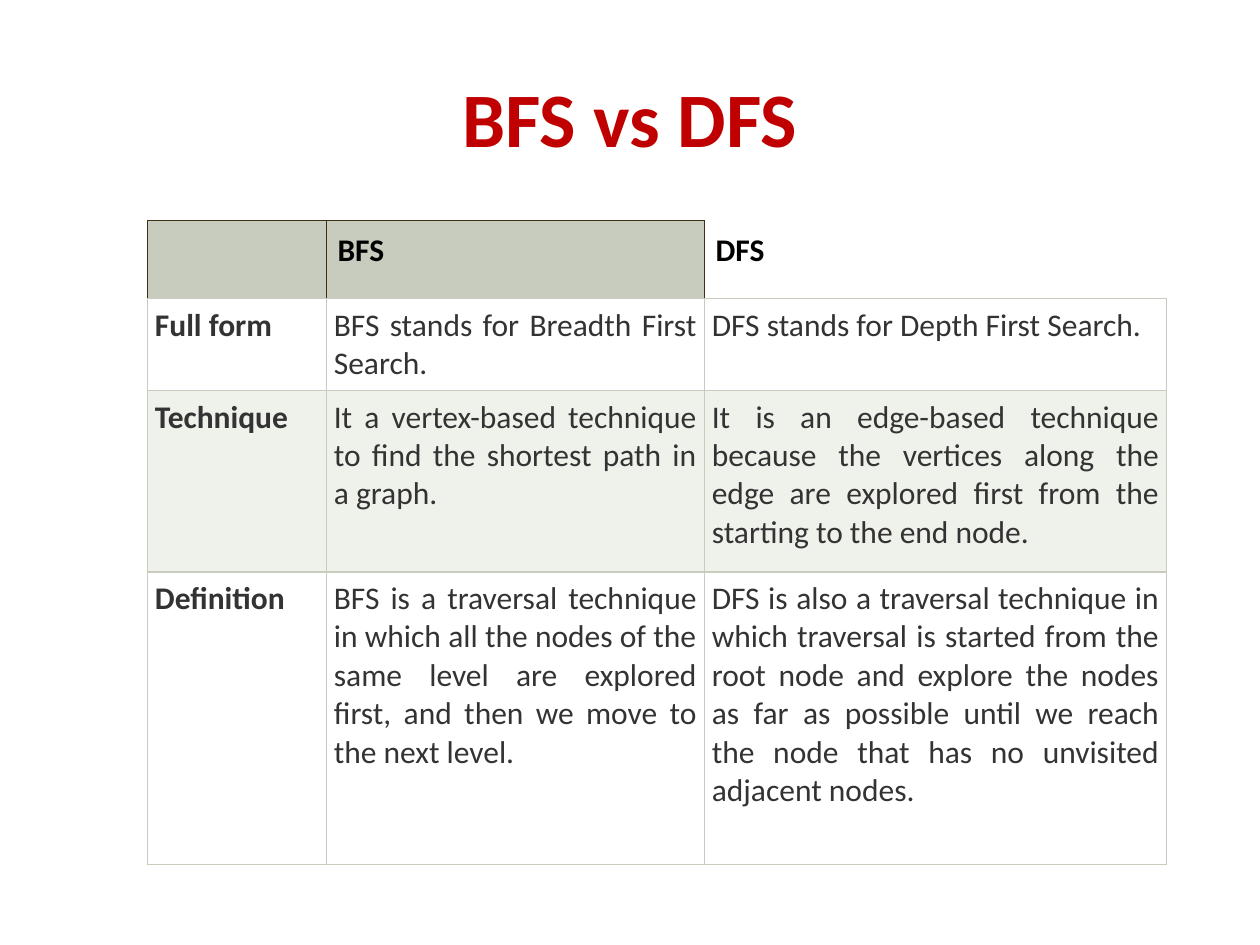
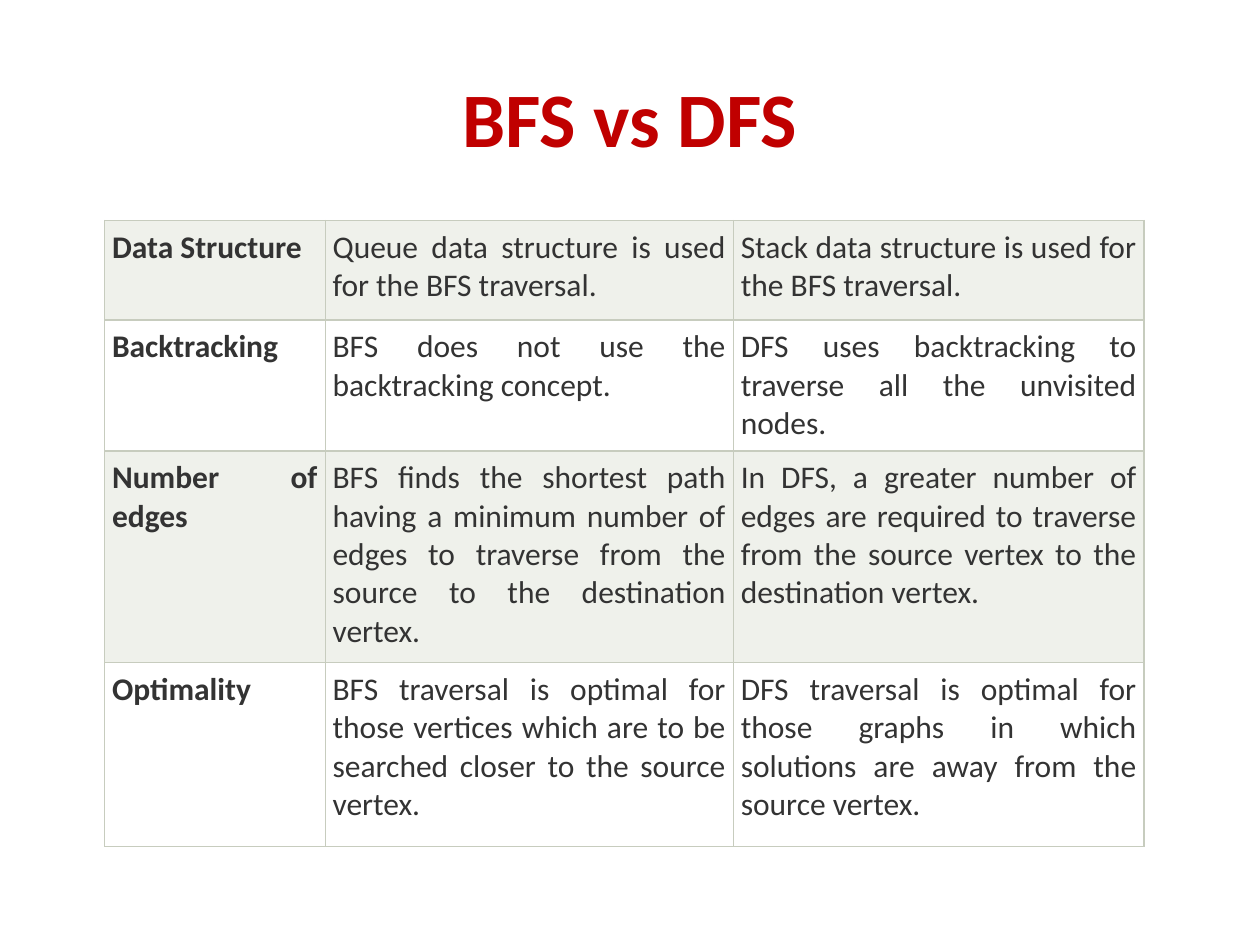
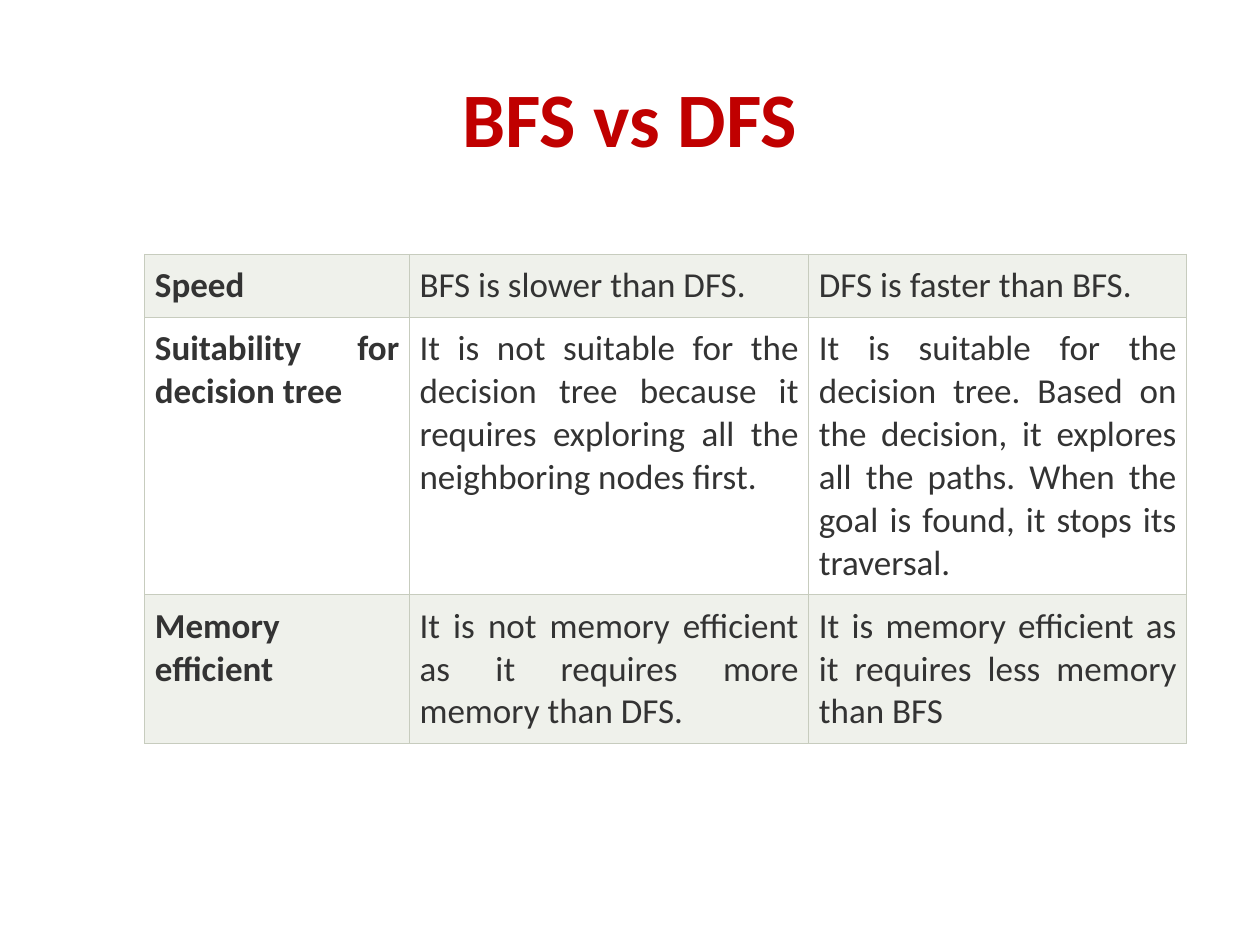
from dataclasses import dataclass

from lxml.etree import SubElement
from pptx import Presentation
from pptx.dml.color import RGBColor
from pptx.enum.text import MSO_ANCHOR, PP_ALIGN
from pptx.oxml.ns import qn
from pptx.util import Inches, Pt

GRID_COLUMNS = 100
GRID_ROWS = 75
EDGES = ("L", "R", "T", "B")


@dataclass(frozen=True)
class Theme:
    """Colours, font and type sizes shared by the slides."""
    font: str = "Calibri"
    title_color: str = "C00000"
    header_color: str = "000000"
    text_color: str = "333333"
    header_fill: str = "C7CCBE"
    row_fills: tuple = ("FFFFFF", "EFF1EB")
    border: str = "C7CCBE"
    header_border: str = "402F15"
    border_width: float = 0.75
    title_size: int = 44
    header_size: int = 18


THEME = Theme()


@dataclass(frozen=True)
class Box:
    """A place on the slide in grid columns and rows."""
    left: float
    top: float
    width: float
    height: float


@dataclass(frozen=True)
class Comparison:
    """Place, type size and wording of one comparison table."""
    left: float
    top: float
    columns: tuple
    rows: tuple
    size: int
    inset: float
    first_fill: int
    body: tuple
    header: tuple = ()


TITLE_BOX = Box(5, 3, 90, 12.5)

COMPARISONS = (
    Comparison(
        11.7, 17.5, (14.2, 30, 36.7), (6.2, 7.3, 14.4, 23.2), 18, 0.06, 0,
        (
            ("Full form",
             "BFS stands for Breadth First Search.",
             "DFS stands for Depth First Search."),
            ("Technique",
             "It a vertex-based technique to find the shortest path in a graph.",
             "It is an edge-based technique because the vertices along the edge "
             "are explored first from the starting to the end node."),
            ("Definition",
             "BFS is a traversal technique in which all the nodes of the same level "
             "are explored first, and then we move to the next level.",
             "DFS is also a traversal technique in which traversal is started from "
             "the root node and explore the nodes as far as possible until we reach "
             "the node that has no unvisited adjacent nodes."),
        ),
        ("", "BFS", "DFS"),
    ),
    Comparison(
        8.3, 17.5, (17.5, 32.4, 32.6), (7.9, 10.4, 16.8, 14.6), 18, 0.06, 1,
        (
            ("Data Structure",
             "Queue data structure is used for the BFS traversal.",
             "Stack data structure is used for the BFS traversal."),
            ("Backtracking",
             "BFS does not use the backtracking concept.",
             "DFS uses backtracking to traverse all the unvisited nodes."),
            ("Number of edges",
             "BFS finds the shortest path having a minimum number of edges to "
             "traverse from the source to the destination vertex.",
             "In DFS, a greater number of edges are required to traverse from the "
             "source vertex to the destination vertex."),
            ("Optimality",
             "BFS traversal is optimal for those vertices which are to be searched "
             "closer to the source vertex.",
             "DFS traversal is optimal for those graphs in which solutions are away "
             "from the source vertex."),
        ),
    ),
    Comparison(
        11.5, 20.2, (21, 31.7, 30), (5, 22, 11.8), 20, 0.08, 1,
        (
            ("Speed", "BFS is slower than DFS.", "DFS is faster than BFS."),
            ("Suitability for decision tree",
             "It is not suitable for the decision tree because it requires exploring "
             "all the neighboring nodes first.",
             "It is suitable for the decision tree. Based on the decision, it "
             "explores all the paths. When the goal is found, it stops its traversal."),
            ("Memory efficient",
             "It is not memory efficient as it requires more memory than DFS.",
             "It is memory efficient as it requires less memory than BFS"),
        ),
    ),
)


def format_font(font, size, color, bold):
    """Give a font its face, size, colour and weight."""
    font.name = THEME.font
    font.size = Pt(size)
    font.bold = bold
    font.color.rgb = RGBColor.from_string(color)


def set_margins(target, across, down):
    """Set the side and the top and bottom margins in inches."""
    target.margin_left = target.margin_right = Inches(across)
    target.margin_top = target.margin_bottom = Inches(down)


def set_borders(cell, colors):
    """Draw the cell's edges, leaving out those without a colour."""
    properties = cell._tc.get_or_add_tcPr()
    for position, edge in enumerate(EDGES):
        line = SubElement(properties, qn(f"a:ln{edge}"), w=str(Pt(THEME.border_width)))
        color = colors.get(edge)
        if color:
            fill = SubElement(line, qn("a:solidFill"))
            SubElement(fill, qn("a:srgbClr"), val=color)
        else:
            SubElement(line, qn("a:noFill"))
        properties.insert(position, line)


def fill_cell(cell, text, size, color, bold, inset, alignment, fill):
    """Write a cell's text and set its margins and fill."""
    cell.text_frame.text = text
    para = cell.text_frame.paragraphs[0]
    para.alignment = alignment
    format_font(para.font, size, color, bold)
    for span in para.runs:
        format_font(span.font, size, color, bold)
    set_margins(cell, inset, inset)
    cell.vertical_anchor = MSO_ANCHOR.TOP
    if fill:
        cell.fill.solid()
        cell.fill.fore_color.rgb = RGBColor.from_string(fill)
    else:
        cell.fill.background()


def add_header(table, labels):
    """Fill the header row, whose last cell is open at the top and right."""
    last = len(labels) - 1
    for column, label in enumerate(labels):
        is_open = column == last
        cell = table.cell(0, column)
        fill_cell(cell, label, THEME.header_size, THEME.header_color, True, 0.09,
                  PP_ALIGN.LEFT, None if is_open else THEME.header_fill)
        dark_edges = "L" if is_open else "LRT"
        set_borders(cell, dict.fromkeys(dark_edges, THEME.header_border)
                    | {"B": THEME.border})


def add_body(table, comparison):
    """Fill the rows below the header with alternating fills."""
    first_row = 1 if comparison.header else 0
    for index, texts in enumerate(comparison.body):
        fill = THEME.row_fills[(index + comparison.first_fill) % 2]
        for column, text in enumerate(texts):
            cell = table.cell(first_row + index, column)
            fill_cell(cell, text, comparison.size, THEME.text_color, column == 0,
                      comparison.inset, PP_ALIGN.JUSTIFY, fill)
            set_borders(cell, dict.fromkeys(EDGES, THEME.border))


def place(deck, box):
    """Turn a grid box into slide lengths."""
    across = deck.slide_width / GRID_COLUMNS
    down = deck.slide_height / GRID_ROWS
    return (round(box.left * across), round(box.top * down),
            round(box.width * across), round(box.height * down))


def add_title(deck, page, box):
    """Add the centred slide title."""
    frame = page.shapes.add_textbox(*place(deck, box)).text_frame
    frame.word_wrap = True
    frame.vertical_anchor = MSO_ANCHOR.MIDDLE
    set_margins(frame, 0.1, 0.05)
    frame.text = "BFS vs DFS"
    para = frame.paragraphs[0]
    para.alignment = PP_ALIGN.CENTER
    format_font(para.runs[0].font, THEME.title_size, THEME.title_color, True)


def add_comparison(deck, page, comparison):
    """Add a comparison table on the slide grid."""
    box = Box(comparison.left, comparison.top,
              sum(comparison.columns), sum(comparison.rows))
    table = page.shapes.add_table(len(comparison.rows), len(comparison.columns),
                                  *place(deck, box)).table
    table.first_row = table.horz_banding = False
    for column, width in zip(table.columns, comparison.columns):
        column.width = round(width * deck.slide_width / GRID_COLUMNS)
    for row, height in zip(table.rows, comparison.rows):
        row.height = round(height * deck.slide_height / GRID_ROWS)
    add_header(table, comparison.header)
    add_body(table, comparison)


def main():
    """Build the deck and save it."""
    deck = Presentation()
    deck.slide_width, deck.slide_height = Inches(10), Inches(7.5)
    for comparison in COMPARISONS:
        page = deck.slides.add_slide(deck.slide_layouts[6])
        add_title(deck, page, TITLE_BOX)
        add_comparison(deck, page, comparison)
    deck.save("out.pptx")


if __name__ == "__main__":
    main()
